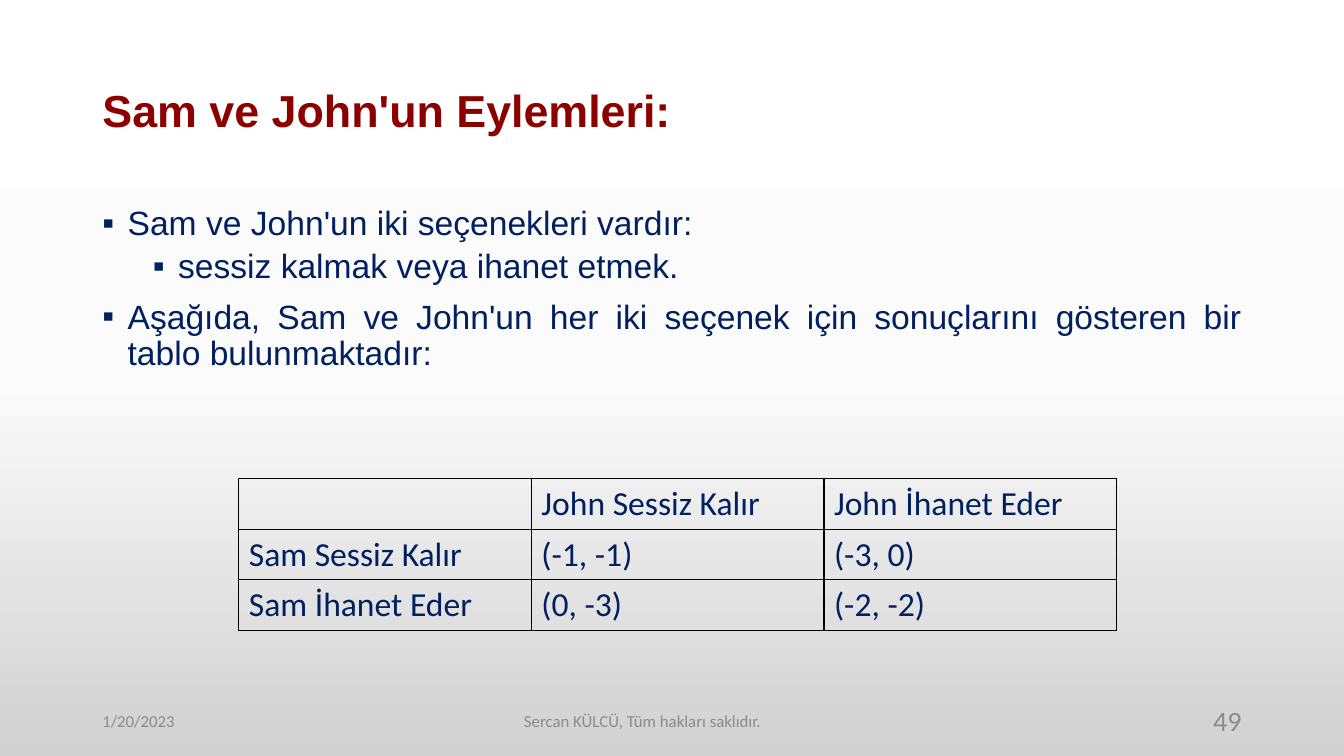
import copy
import dataclasses
import typing

import lxml.etree
import pptx
import pptx.dml.color
import pptx.enum.text
import pptx.oxml.ns
import pptx.util

Pt = pptx.util.Pt
Align = pptx.enum.text.PP_ALIGN
Anchor = pptx.enum.text.MSO_ANCHOR
qn = pptx.oxml.ns.qn

HUES = {
    "red": "8C0000",
    "navy": "002060",
    "grey": "8C8C8C",
    "black": "000000",
}
SHADES = {0: "FFFFFF", 0.5: "FBFBFB", 1: "D1D1D1"}
HEAD = {"name": "Arial", "size": Pt(32), "bold": True}
LIST = {"name": "Arial", "size": Pt(24)}
GRID = {"name": "Calibri", "size": Pt(24)}
SMALL = {"name": "Calibri", "size": Pt(12)}
LARGE = {"name": "Calibri", "size": Pt(20)}


@dataclasses.dataclass
class Item:
    text: str
    level: int
    gap: float


@dataclasses.dataclass
class Note:
    text: str
    left: float
    width: float
    align: Align
    font: dict


ITEMS = [
    Item("Sam ve John'un iki seçenekleri vardır:", 0, 0),
    Item("sessiz kalmak veya ihanet etmek.", 1, 5),
    Item("Aşağıda, Sam ve John'un her iki seçenek için sonuçlarını "
         "gösteren bir tablo bulunmaktadır:", 0, 10),
]
NOTES = [
    Note("1/20/2023", 66, 216, Align.LEFT, SMALL),
    Note("Sercan KÜLCÜ, Tüm hakları saklıdır.", 186, 546, Align.CENTER, SMALL),
    Note("49", 678, 216, Align.RIGHT, LARGE),
]
ROWS = [
    ["", "John Sessiz Kalır", "John İhanet Eder"],
    ["Sam Sessiz Kalır", "(-1, -1)", "(-3, 0)"],
    ["Sam İhanet Eder", "(0, -3)", "(-2, -2)"],
]


def apply(target: typing.Any, values: dict) -> None:
    for name, value in values.items():
        setattr(target, name, value)


def write(para: typing.Any, text: str, font: dict, hue: str) -> None:
    run = para.add_run()
    run.text = text
    apply(run.font, font)
    run.font.color.rgb = pptx.dml.color.RGBColor.from_string(HUES[hue])


def place(shape: typing.Any, left: float, top: float,
          width: float, height: float) -> None:
    apply(shape, {"left": Pt(left), "top": Pt(top),
                  "width": Pt(width), "height": Pt(height)})


def shade(slide: typing.Any) -> None:
    fill = slide.background.fill
    fill.gradient()
    fill.gradient_angle = 270
    first = fill.gradient_stops[0]
    first.color.rgb = pptx.dml.color.RGBColor.from_string(SHADES[0])
    node = slide.background._cSld.find(".//" + qn("a:gsLst"))
    node.insert(1, copy.deepcopy(node[0]))
    for stop, (spot, hue) in zip(fill.gradient_stops, SHADES.items()):
        stop.position = spot
        stop.color.rgb = pptx.dml.color.RGBColor.from_string(hue)


def add_title(slide: typing.Any) -> None:
    title = slide.shapes.title
    place(title, 66, 28.8, 828, 104.4)
    frame = title.text_frame
    apply(frame, {"word_wrap": True, "vertical_anchor": Anchor.MIDDLE,
                  "auto_size": pptx.enum.text.MSO_AUTO_SIZE.NONE})
    para = frame.paragraphs[0]
    apply(para, {"alignment": Align.LEFT, "line_spacing": 0.9})
    write(para, "Sam ve John'un Eylemleri:", HEAD, "red")


def add_list(slide: typing.Any) -> None:
    body = slide.placeholders[1]
    place(body, 66, 144, 828, 368.6)
    frame = body.text_frame
    apply(frame, {"word_wrap": True, "vertical_anchor": Anchor.TOP,
                  "auto_size": pptx.enum.text.MSO_AUTO_SIZE.NONE})
    for rank, item in enumerate(ITEMS):
        para = frame.add_paragraph() if rank else frame.paragraphs[0]
        props = para._p.get_or_add_pPr()
        props.set("marL", str(Pt(18 + 36 * item.level)))
        props.set("indent", str(Pt(-18)))
        lxml.etree.SubElement(props, qn("a:buFont"), typeface="Arial")
        lxml.etree.SubElement(props, qn("a:buChar"), char="▪")
        apply(para, {"level": item.level, "alignment": Align.JUSTIFY,
                     "line_spacing": 0.9, "space_before": Pt(item.gap),
                     "space_after": Pt(0)})
        write(para, item.text, LIST, "navy")


def add_note(slide: typing.Any, note: Note) -> None:
    box = slide.shapes.add_textbox(
        Pt(note.left), Pt(500.4), Pt(note.width), Pt(28.8))
    apply(box.text_frame, {"word_wrap": True,
                           "vertical_anchor": Anchor.MIDDLE})
    para = box.text_frame.paragraphs[0]
    para.alignment = note.align
    write(para, note.text, note.font, "grey")


def frame_cell(cell: typing.Any) -> None:
    props = cell._tc.get_or_add_tcPr()
    for side in ("a:lnL", "a:lnR", "a:lnT", "a:lnB"):
        line = lxml.etree.SubElement(props, qn(side), w=str(Pt(1)))
        fill = lxml.etree.SubElement(line, qn("a:solidFill"))
        lxml.etree.SubElement(fill, qn("a:srgbClr"), val=HUES["black"])
    cell.fill.background()


def add_grid(slide: typing.Any) -> None:
    grid = slide.shapes.add_table(
        len(ROWS), len(ROWS[0]), Pt(170.6), Pt(342), Pt(627), Pt(108)).table
    apply(grid, {"first_row": False, "horz_banding": False})
    for down, row in enumerate(ROWS):
        for across, text in enumerate(row):
            cell = grid.cell(down, across)
            frame_cell(cell)
            cell.vertical_anchor = Anchor.MIDDLE if down else Anchor.BOTTOM
            if text:
                write(cell.text_frame.paragraphs[0], text, GRID, "navy")


def main() -> None:
    deck = pptx.Presentation()
    apply(deck, {"slide_width": Pt(960), "slide_height": Pt(540)})
    slide = deck.slides.add_slide(deck.slide_layouts[1])
    shade(slide)
    add_title(slide)
    add_list(slide)
    for note in NOTES:
        add_note(slide, note)
    add_grid(slide)
    deck.save("out.pptx")


if __name__ == "__main__":
    main()
